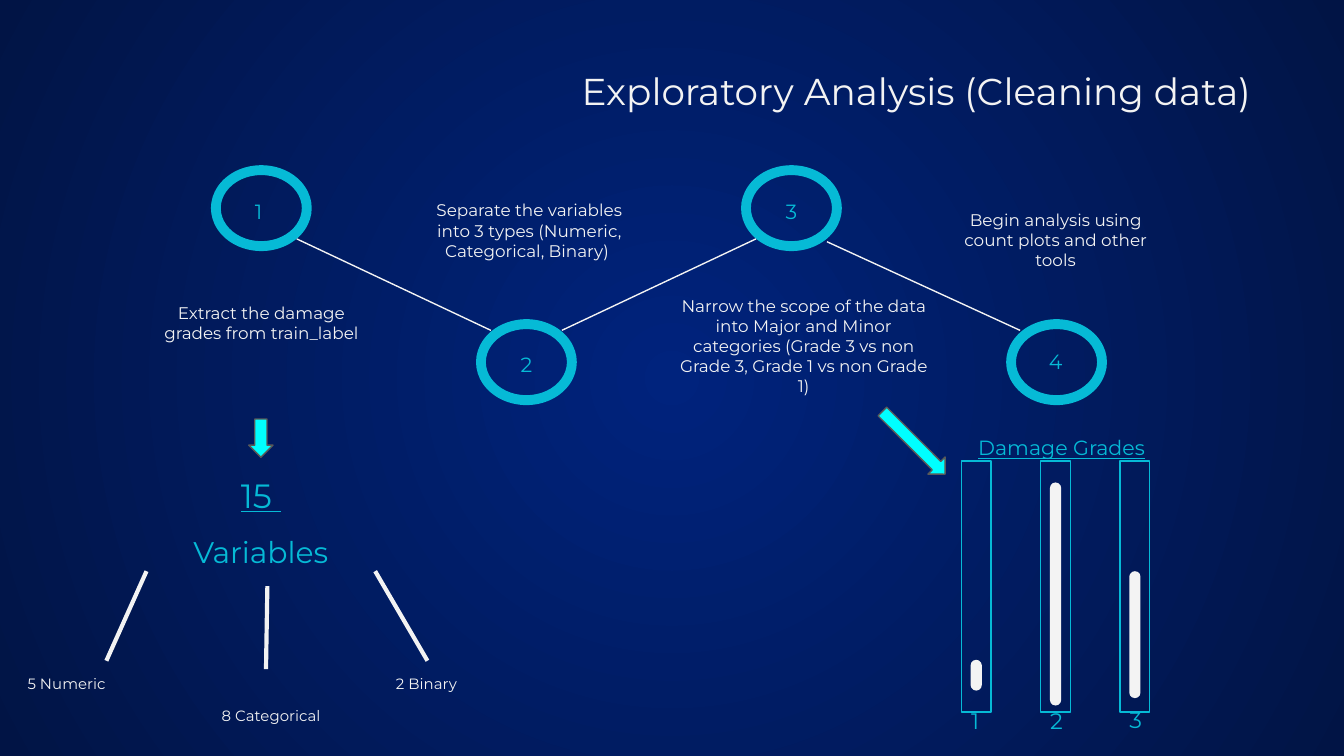
"""Build the exploratory analysis slide with its four steps and damage grades."""
from lxml.etree import SubElement
from pptx import Presentation
from pptx.dml.color import RGBColor
from pptx.enum.shapes import MSO_CONNECTOR, MSO_SHAPE
from pptx.enum.text import MSO_ANCHOR, MSO_AUTO_SIZE, PP_ALIGN
from pptx.oxml.ns import qn
from pptx.util import Pt

NAVY = RGBColor(0x00, 0x23, 0x7D)
DARK = RGBColor(0x01, 0x14, 0x45)
PALE = RGBColor(0xF3, 0xF3, 0xF3)
TEAL = RGBColor(0x06, 0xBA, 0xD6)
CYAN = RGBColor(0x00, 0xFF, 0xFF)
GREY = RGBColor(0x59, 0x59, 0x59)


def write(box, text, size, color, align=PP_ALIGN.CENTER, line=False):
    frame = box.text_frame
    frame.text = text
    frame.word_wrap = True
    frame.auto_size = MSO_AUTO_SIZE.NONE
    frame.vertical_anchor = MSO_ANCHOR.TOP
    frame.margin_left = frame.margin_right = Pt(7.2)
    frame.margin_top = frame.margin_bottom = Pt(7.2)
    frame.paragraphs[0].alignment = align
    font = frame.paragraphs[0].runs[0].font
    font.name = "Montserrat"
    font.size = Pt(size)
    font.color.rgb = color
    if line:
        font.underline = True


def draw(kind, left, top, width, height, fill=None, edge=None):
    shape = shapes.add_shape(kind, Pt(left), Pt(top), Pt(width), Pt(height))
    shape.shadow.inherit = False
    if fill is None:
        shape.fill.background()
    else:
        shape.fill.solid()
        shape.fill.fore_color.rgb = fill
    if edge is None:
        shape.line.fill.background()
    else:
        shape.line.color.rgb = edge
        shape.line.width = Pt(0.75)
    return shape


deck = Presentation()
deck.slide_width, deck.slide_height = Pt(720), Pt(405)
slide = deck.slides.add_slide(deck.slide_layouts[5])
shapes = slide.shapes

back = slide.background.fill
back.gradient()
for stop, color in zip(back.gradient_stops, (NAVY, DARK)):
    stop.color.rgb = color
grad = slide.element.find(".//" + qn("a:gradFill"))
grad.remove(grad.find(qn("a:lin")))
round_fill = SubElement(grad, qn("a:path"), {"path": "circle"})
SubElement(round_fill, qn("a:fillToRect"), {side: "50000" for side in "ltrb"})

title = shapes.title
title.left, title.top, title.width, title.height = Pt(207.5), Pt(29.5), Pt(470), Pt(40)
write(title, "Exploratory Analysis (Cleaning data)", 20, PALE, PP_ALIGN.RIGHT)

labels = [
    ("Begin analysis using count plots and other tools", 506, 105, 119, 52.5, 9, PALE),
    ("Extract the damage grades from train_label", 80.5, 155, 119, 52.5, 9, PALE),
    ("Narrow the scope of the data into Major and Minor categories "
     "(Grade 3 vs non Grade 3, Grade 1 vs non Grade 1)", 355, 151, 151, 52.5, 9, PALE),
    ("Separate the variables into 3 types (Numeric, Categorical, Binary) ",
     224, 100, 119, 52.5, 9, PALE),
    ("1 ", 121, 99.5, 38, 24.5, 11, TEAL),
    ("2", 222.5, 181.5, 119, 24.5, 11, TEAL),
    ("3", 364.5, 99.5, 119, 24.5, 11, TEAL),
    ("4", 506, 180, 119, 24.5, 11, TEAL),
    ("5 Numeric", 0, 354, 71.5, 20, 8, PALE),
    ("8 Categorical", 104.5, 371.5, 81.5, 20, 8, PALE),
    ("2 Binary", 198.5, 354, 60, 20, 8, PALE),
    ("Damage Grades", 504, 226, 129.5, 26, 11, TEAL),
    ("1 ", 506, 371.5, 36, 24, 12, TEAL),
    ("2", 548, 371.5, 36, 24, 12, TEAL),
    ("3", 592, 371, 33, 24, 12, TEAL),
    ("15 ", 78.5, 247, 122.5, 37, 18, TEAL),
    ("Variables", 78.5, 278.5, 122.5, 55.5, 16, TEAL),
]
for text, left, top, width, height, size, color in labels:
    box = shapes.add_textbox(Pt(left), Pt(top), Pt(width), Pt(height))
    write(box, text, size, color, line=text in ("15 ", "Damage Grades"))

for step in range(4):
    ring = draw(MSO_SHAPE.DONUT, 113 + 142 * step, (88.5, 171)[step % 2], 54, 46, TEAL)
    ring.adjustments[0] = 0.115

links = [
    (159, 128, 263, 177, 0.75),
    (301, 177, 405, 128, 0.75),
    (443, 129.5, 546.5, 177, 0.75),
    (229, 354, 201, 306, 2.25),
    (142.5, 358.5, 143.25, 314, 2.25),
    (57, 354, 78.5, 306, 2.25),
]
for x1, y1, x2, y2, width in links:
    link = shapes.add_connector(MSO_CONNECTOR.STRAIGHT, Pt(x1), Pt(y1), Pt(x2), Pt(y2))
    link.line.color.rgb = PALE
    link.line.width = Pt(width)
    SubElement(link.element.spPr, qn("a:effectLst"))

draw(MSO_SHAPE.DOWN_ARROW, 133.25, 224.5, 13, 20.5, CYAN, GREY)
arrow = draw(MSO_SHAPE.DOWN_ARROW, 483, 213.5, 13, 47.5, CYAN, GREY)
arrow.rotation = 315

for grade, (top, height) in enumerate([(353.5, 16.5), (258.5, 119.5), (306, 68)]):
    mid = 523 + 42.5 * grade
    draw(MSO_SHAPE.RECTANGLE, mid - 8, 247, 16, 134.5, edge=TEAL)
    bar = draw(MSO_SHAPE.ROUNDED_RECTANGLE, mid - 3, top, 6, height, PALE)
    bar.adjustments[0] = 0.5

deck.save("out.pptx")
